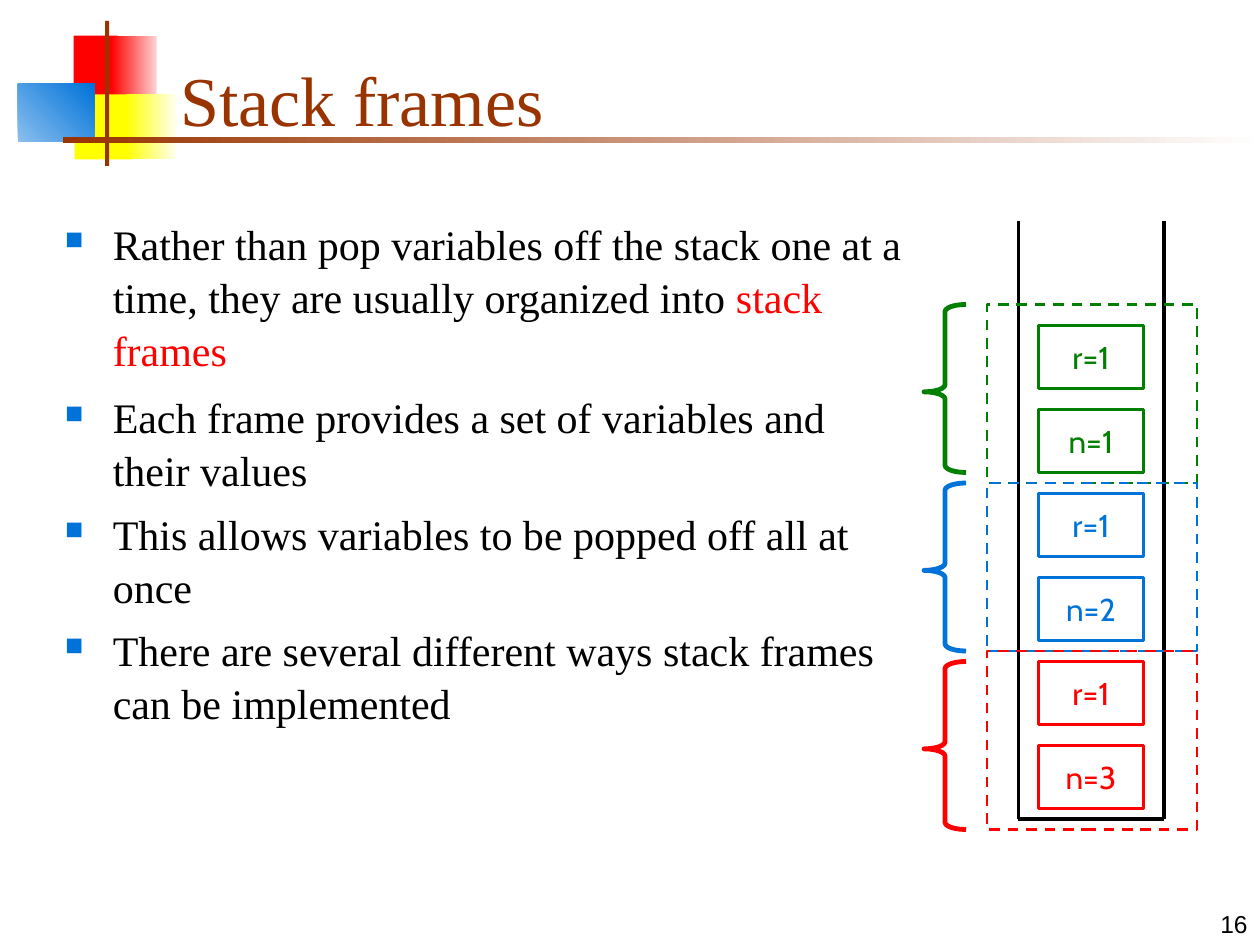
"""Build the "Stack frames" slide on a grid of twelve cells to the inch."""
from dataclasses import dataclass

from lxml import etree
from pptx import Presentation
from pptx import util as u
from pptx.dml.color import RGBColor
from pptx.enum import dml, shapes, text
from pptx.oxml.ns import qn

COLORS = {
    "black": "000000", "white": "FFFFFF", "red": "FF0000", "pink": "FFD1D1",
    "yellow": "FFFF00", "cream": "FFFFF0", "sky": "8BBFEE", "blue": "0073D9",
    "green": "007F00", "brown": "993300",
}
SERIF, SANS, LABEL = "Times New Roman", "Arial", "Cabin"
COLUMNS, ROWS = 120, 90


@dataclass(frozen=True)
class Area:
    """A rectangle in grid columns and rows."""
    column: float
    row: float
    columns: float
    rows: float

    def box(self) -> tuple:
        return tuple(cells(n) for n in (self.column, self.row, self.columns, self.rows))


@dataclass(frozen=True)
class Block:
    """A decorative block, shaded when it has an end colour."""
    area: Area
    start: str
    end: str = ""
    angle: float = 0


@dataclass(frozen=True)
class Frame:
    """A stack frame with its variables, listed from the top."""
    color: str
    variables: tuple
    outline: Area
    brace_row: float


BLOCKS = (
    Block(Area(7, 3.4, 4.2, 6.2), "red"),
    Block(Area(10.6, 3.4, 4.3, 6.2), "red", "pink"),
    Block(Area(7.1, 9, 5.5, 6.2), "yellow"),
    Block(Area(12, 9, 4.8, 6.2), "yellow", "cream"),
    Block(Area(1.7, 8, 7.3, 5.5), "sky", "blue", 45),
    Block(Area(10, 2, 0.4, 13.8), "brown"),
    Block(Area(6, 13, 114, 0.6), "brown", "white"),
)
FRAMES = (
    Frame("green", ("r=1", "n=1"), Area(94, 29, 20, 17), 29),
    Frame("blue", ("r=1", "n=2"), Area(94, 46, 20, 16), 46),
    Frame("red", ("r=1", "n=3"), Area(94, 62, 20, 17), 63),
)
STACK_CORNERS = ((97, 21), (97, 78), (110.9, 78), (110.9, 21))
FIRST_VARIABLE_ROW, VARIABLE_STEP = 31, 8
POINTS = (
    (Area(5, 20, 82.7, 23.5), (
        (("Rather than pop variables off the stack one at a time, "
          "they are usually organized into ", "black"), ("stack frames", "red")),
    )),
    (Area(5, 36.5, 82.7, 44), (
        (("Each frame provides a set of variables and their values", "black"),),
        (("This allows variables to be popped off all at once", "black"),),
        (("There are several different ways stack frames can be implemented", "black"),),
    )),
)


def cells(count: float) -> int:
    return u.Inches(count / 12)


def rgb(name: str) -> RGBColor:
    return RGBColor.from_string(COLORS[name])


def style(font, face: str, size: float, color: str) -> None:
    font.name, font.size, font.color.rgb = face, u.Pt(size), rgb(color)


def add_plain(slide, kind, area: Area):
    shape = slide.shapes.add_shape(kind, *area.box())
    shape.shadow.inherit = False
    return shape


def add_outline(slide, kind, area: Area, color: str, width: float):
    shape = add_plain(slide, kind, area)
    shape.fill.background()
    shape.line.color.rgb, shape.line.width = rgb(color), u.Pt(width)
    return shape


def add_block(slide, block: Block) -> None:
    shape = add_plain(slide, shapes.MSO_SHAPE.RECTANGLE, block.area)
    shape.line.fill.background()
    if not block.end:
        shape.fill.solid()
        shape.fill.fore_color.rgb = rgb(block.start)
        return
    shape.fill.gradient()
    shape.fill.gradient_angle = block.angle
    for stop, color in zip(shape.fill.gradient_stops, (block.start, block.end)):
        stop.color.rgb = rgb(color)


def add_bullet(paragraph) -> None:
    properties = paragraph._p.get_or_add_pPr()
    indent = u.Inches(0.38)
    properties.set("marL", str(indent))
    properties.set("indent", str(-indent))
    color = etree.SubElement(properties, qn("a:buClr"))
    etree.SubElement(color, qn("a:srgbClr"), val=COLORS["blue"])
    etree.SubElement(properties, qn("a:buSzPct"), val="60000")
    etree.SubElement(properties, qn("a:buChar"), char="■")


def add_points(slide, area: Area, points: tuple) -> None:
    body = slide.shapes.add_textbox(*area.box()).text_frame
    body.word_wrap = True
    for index, parts in enumerate(points):
        paragraph = body.add_paragraph() if index else body.paragraphs[0]
        add_bullet(paragraph)
        paragraph.line_spacing = 1.05
        paragraph.space_before = u.Pt(6 if index else 0)
        style(paragraph.font, SERIF, 24, "black")
        for wording, color in parts:
            run = paragraph.add_run()
            run.text = wording
            if color != "black":
                run.font.color.rgb = rgb(color)


def add_wall(slide, start: tuple, end: tuple) -> None:
    wall = slide.shapes.add_connector(
        shapes.MSO_CONNECTOR.STRAIGHT, *(cells(n) for n in start + end))
    wall.line.color.rgb, wall.line.width = rgb("black"), u.Pt(2.25)
    etree.SubElement(wall._element.spPr, qn("a:effectLst"))


def add_variable(slide, wording: str, row: float, color: str) -> None:
    variable = add_outline(slide, shapes.MSO_SHAPE.FLOWCHART_PROCESS,
                           Area(98.9, row, 10, 6), color, 1.5)
    frame = variable.text_frame
    frame.word_wrap, frame.vertical_anchor = False, text.MSO_ANCHOR.MIDDLE
    paragraph = frame.paragraphs[0]
    paragraph.text, paragraph.alignment = wording, text.PP_ALIGN.CENTER
    style(paragraph.font, LABEL, 18, color)


def add_frame(slide, frame: Frame) -> None:
    outline = add_outline(slide, shapes.MSO_SHAPE.RECTANGLE, frame.outline, frame.color, 1.5)
    outline.line.dash_style = dml.MSO_LINE.DASH
    brace = add_outline(slide, shapes.MSO_SHAPE.LEFT_BRACE,
                        Area(88, frame.brace_row, 4, 16), frame.color, 2.75)
    brace.adjustments[0], brace.adjustments[1] = 0.17, 0.52


def main() -> None:
    deck = Presentation()
    deck.slide_width, deck.slide_height = cells(COLUMNS), cells(ROWS)
    slide = deck.slides.add_slide(deck.slide_layouts[5])

    title = slide.shapes.title
    title.left, title.top, title.width, title.height = Area(16, 3, 102.2, 11).box()
    title.text_frame.vertical_anchor = text.MSO_ANCHOR.BOTTOM
    heading = title.text_frame.paragraphs[0]
    heading.text, heading.alignment = "Stack frames", text.PP_ALIGN.LEFT
    style(heading.font, SERIF, 40, "brown")

    for block in BLOCKS:
        add_block(slide, block)

    page = slide.shapes.add_textbox(*Area(95, 84, 25, 6).box()).text_frame
    page.word_wrap, page.vertical_anchor = True, text.MSO_ANCHOR.BOTTOM
    number = page.paragraphs[0]
    number.text, number.alignment = "16", text.PP_ALIGN.RIGHT
    style(number.font, SANS, 14, "black")

    for area, points in POINTS:
        add_points(slide, area, points)
    for start, end in zip(STACK_CORNERS, STACK_CORNERS[1:]):
        add_wall(slide, start, end)
    variables = [(name, frame.color) for frame in FRAMES for name in frame.variables]
    for index, (name, color) in enumerate(variables):
        add_variable(slide, name, FIRST_VARIABLE_ROW + index * VARIABLE_STEP, color)
    for frame in FRAMES:
        add_frame(slide, frame)
    deck.save("out.pptx")


if __name__ == "__main__":
    main()
